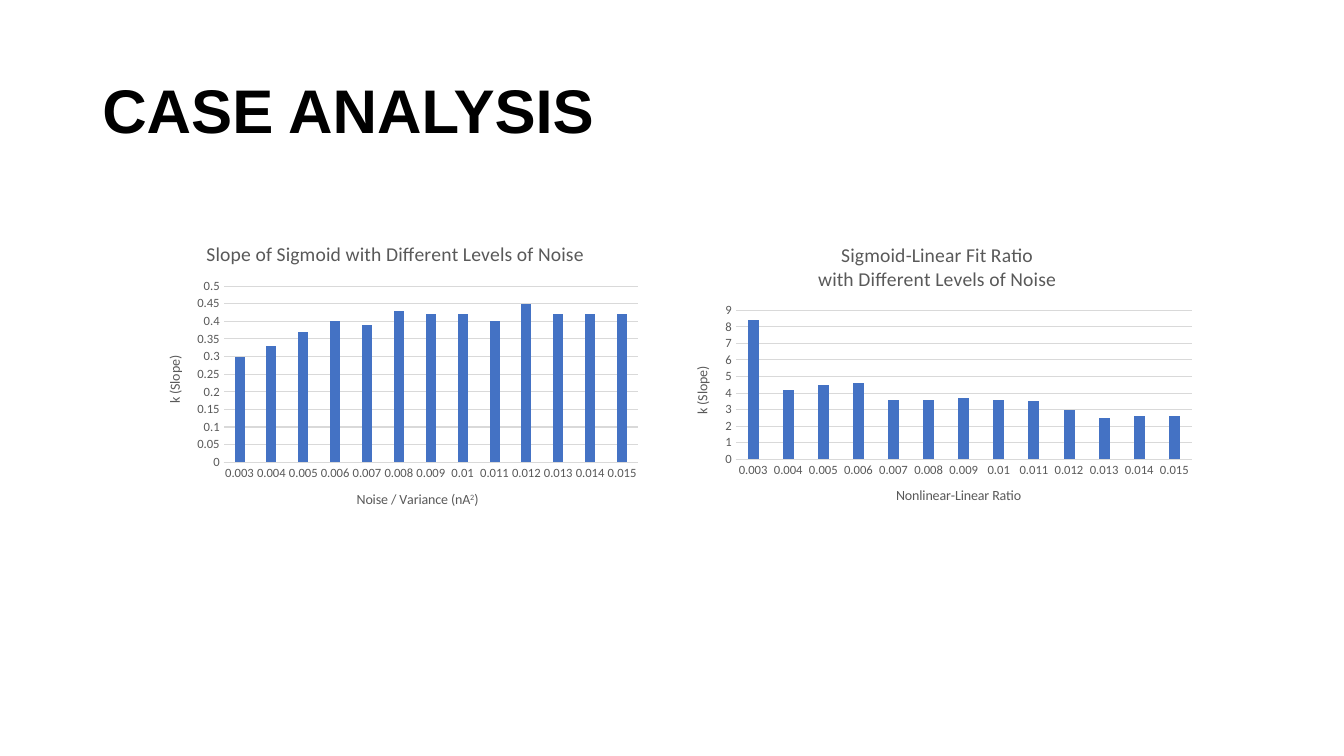
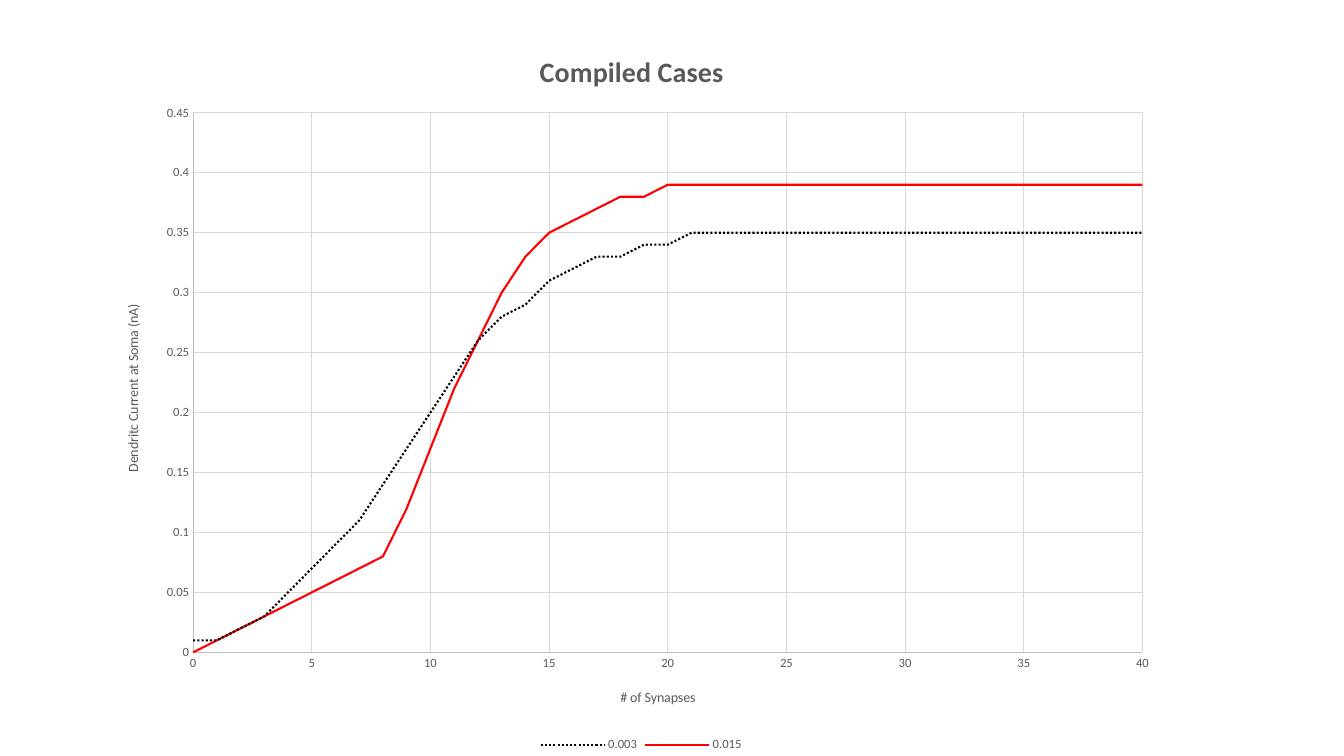
from dataclasses import dataclass

from lxml import etree
from pptx import Presentation
from pptx.chart.data import CategoryChartData, XyChartData
from pptx.dml.color import RGBColor
from pptx.enum.chart import XL_CHART_TYPE, XL_LEGEND_POSITION, XL_TICK_MARK
from pptx.enum.dml import MSO_LINE
from pptx.enum.text import MSO_ANCHOR
from pptx.oxml.ns import qn
from pptx.util import Pt

COLUMNS = XL_CHART_TYPE.COLUMN_CLUSTERED
CURVES = XL_CHART_TYPE.XY_SCATTER_SMOOTH_NO_MARKERS
BOTTOM = XL_LEGEND_POSITION.BOTTOM
NO_TICK = XL_TICK_MARK.NONE
MIDDLE = MSO_ANCHOR.MIDDLE
SOLID, DOTTED = MSO_LINE.SOLID, MSO_LINE.ROUND_DOT


@dataclass(frozen=True)
class Theme:
    heading_font: str = "Arial"
    chart_font: str = "Calibri"
    black: str = "000000"
    gray: str = "595959"
    grid: str = "D9D9D9"
    axis: str = "BFBFBF"
    blue: str = "4472C4"
    red: str = "FF0000"
    heading: int = 44
    large_title: int = 20
    chart_title: int = 14
    axis_title: int = 10
    label: int = 9
    hairline: float = 0.75
    curve: float = 1.5


THEME = Theme()


def style_font(font, *, name=THEME.chart_font, size=THEME.label,
               color=THEME.gray, bold=False):
    font.name, font.size, font.bold = name, Pt(size), bold
    font.color.rgb = RGBColor.from_string(color)


def write_text(frame, text, *, line_spacing=None, **style):
    """Fill a frame; lines become paragraphs, parts between ^ are raised."""
    for row, line in enumerate(text.split("\n")):
        para = frame.add_paragraph() if row else frame.paragraphs[0]
        if line_spacing:
            para.line_spacing = line_spacing
        for part, words in enumerate(line.split("^")):
            span = para.add_run()
            span.text = words
            style_font(span.font, **style)
            if part % 2:
                span.font._element.set("baseline", "30000")


def draw_line(line, color, width=THEME.hairline, dash=None):
    line.color.rgb = RGBColor.from_string(color)
    line.width = Pt(width)
    if dash is not None:
        line.dash_style = dash


def set_layout(parent, index, target=None, **fractions):
    """Place a chart part by fractions of the chart area."""
    for old in parent.findall(qn("c:layout")):
        parent.remove(old)
    layout = etree.Element(qn("c:layout"))
    manual = etree.SubElement(layout, qn("c:manualLayout"))
    settings = {"layoutTarget": target} if target else {}
    settings.update(xMode="edge", yMode="edge", **fractions)
    for tag, value in settings.items():
        etree.SubElement(manual, qn(f"c:{tag}")).set("val", str(value))
    parent.insert(index, layout)


class SlideWriter:
    def __init__(self, deck, theme):
        self.deck, self.theme = deck, theme
        self.slide = None

    def new_slide(self):
        self.slide = self.deck.slides.add_slide(self.deck.slide_layouts[6])

    def heading(self, text, bounds):
        box = self.slide.shapes.add_textbox(*map(Pt, bounds))
        frame = box.text_frame
        frame.word_wrap, frame.vertical_anchor = True, MIDDLE
        write_text(frame, text, name=self.theme.heading_font, bold=True,
                   size=self.theme.heading, color=self.theme.black, line_spacing=0.9)

    def axis(self, axis, title, *, top=None, step=None, line=None, grid=True, turned=False):
        theme = self.theme
        frame = axis.axis_title.text_frame
        write_text(frame, title, size=theme.axis_title)
        if turned:
            body = frame._txBody.bodyPr
            body.set("rot", "-5400000")
            body.set("vert", "horz")
        axis.major_tick_mark = axis.minor_tick_mark = NO_TICK
        style_font(axis.tick_labels.font)
        if top is not None:
            axis.minimum_scale, axis.maximum_scale, axis.major_unit = 0, top, step
        axis.has_major_gridlines = grid
        if grid:
            draw_line(axis.major_gridlines.format.line, theme.grid)
        if line:
            draw_line(axis.format.line, line)
        else:
            axis.format.line.fill.background()

    def chart(self, kind, data, bounds, title, plot_area, **title_style):
        chart = self.slide.shapes.add_chart(kind, *map(Pt, bounds), data).chart
        style_font(chart.font, size=10, color=self.theme.black)
        chart.has_legend = False
        write_text(chart.chart_title.text_frame, title, **title_style)
        x, y, w, h = plot_area
        area = chart._chartSpace.chart.plotArea
        set_layout(area, 0, "inner", x=x, y=y, w=w, h=h)
        return chart

    def column_chart(self, bounds, title, x_title, categories, values, top, step, plot_area):
        theme = self.theme
        data = CategoryChartData()
        data.categories = categories
        data.add_series("Series 1", values)
        chart = self.chart(COLUMNS, data, bounds, title, plot_area, size=theme.chart_title)
        plot = chart.plots[0]
        plot.gap_width, plot.overlap, plot.vary_by_categories = 219, -27, False
        fill = plot.series[0].format.fill
        fill.solid()
        fill.fore_color.rgb = RGBColor.from_string(theme.blue)
        self.axis(chart.category_axis, x_title, line=theme.grid, grid=False)
        self.axis(chart.value_axis, "k (Slope)", top=top, step=step, turned=True)

    def curve_chart(self, bounds, title, x_title, y_title, curves, plot_area):
        theme = self.theme
        data = XyChartData()
        for name, values, _, _ in curves:
            points = data.add_series(name)
            for x, y in enumerate(values):
                points.add_data_point(x, y)
        chart = self.chart(CURVES, data, bounds, title, plot_area,
                           size=theme.large_title, bold=True)
        set_layout(chart.chart_title._element, 1, x=0.4, y=0.04)
        chart.plots[0].vary_by_categories = False
        for series, (_, _, color, dash) in zip(chart.plots[0].series, curves):
            series.smooth = True
            draw_line(series.format.line, color, theme.curve, dash)
        self.axis(chart.category_axis, x_title, top=40, step=5, line=theme.axis)
        self.axis(chart.value_axis, y_title, top=0.45, step=0.05,
                  line=theme.axis, turned=True)
        chart.has_legend = True
        chart.legend.position, chart.legend.include_in_layout = BOTTOM, False
        style_font(chart.legend.font)


# Data
NOISE_LEVELS = [f"{level / 1000:g}" for level in range(3, 16)]
SLOPES = [0.3, 0.33, 0.37, 0.4, 0.39, 0.43, 0.42, 0.42, 0.4, 0.45, 0.42, 0.42, 0.42]
FIT_RATIOS = [8.4, 4.2, 4.5, 4.6, 3.6, 3.6, 3.7, 3.6, 3.5, 3, 2.5, 2.6, 2.6]
LOW_NOISE = [0.01, 0.01, 0.02, 0.03, 0.05, 0.07, 0.09, 0.11, 0.14, 0.17, 0.2, 0.23,
             0.26, 0.28, 0.29, 0.31, 0.32, 0.33, 0.33, 0.34, 0.34] + [0.35] * 20
HIGH_NOISE = [0, 0.01, 0.02, 0.03, 0.04, 0.05, 0.06, 0.07, 0.08, 0.12, 0.17, 0.22,
              0.26, 0.3, 0.33, 0.35, 0.36, 0.37, 0.38, 0.38] + [0.39] * 21


def main():
    deck = Presentation()
    deck.slide_width, deck.slide_height = Pt(960), Pt(540)
    writer = SlideWriter(deck, THEME)

    # Case analysis: two column charts
    writer.new_slide()
    writer.heading("CASE ANALYSIS", (66, 29, 535, 104))
    writer.column_chart((102, 161, 361, 217),
                        "Slope of Sigmoid with Different Levels of Noise",
                        "Noise / Variance (nA^2^)", NOISE_LEVELS, SLOPES,
                        0.5, 0.05, (0.16, 0.2, 0.82, 0.58))
    writer.column_chart((480, 162, 379, 213),
                        "Sigmoid-Linear Fit Ratio\nwith Different Levels of Noise",
                        "Nonlinear-Linear Ratio", NOISE_LEVELS, FIT_RATIOS,
                        9, 1, (0.12, 0.28, 0.86, 0.5))

    # Compiled cases: response curves
    writer.new_slide()
    writer.curve_chart((77, 12, 762, 528), "Compiled Cases", "# of Synapses",
                       "Dendritc Current at Soma (nA)",
                       [("0.003", LOW_NOISE, THEME.black, DOTTED),
                        ("0.015", HIGH_NOISE, THEME.red, SOLID)],
                       (0.08, 0.13, 0.89, 0.73))

    deck.save("out.pptx")


if __name__ == "__main__":
    main()
